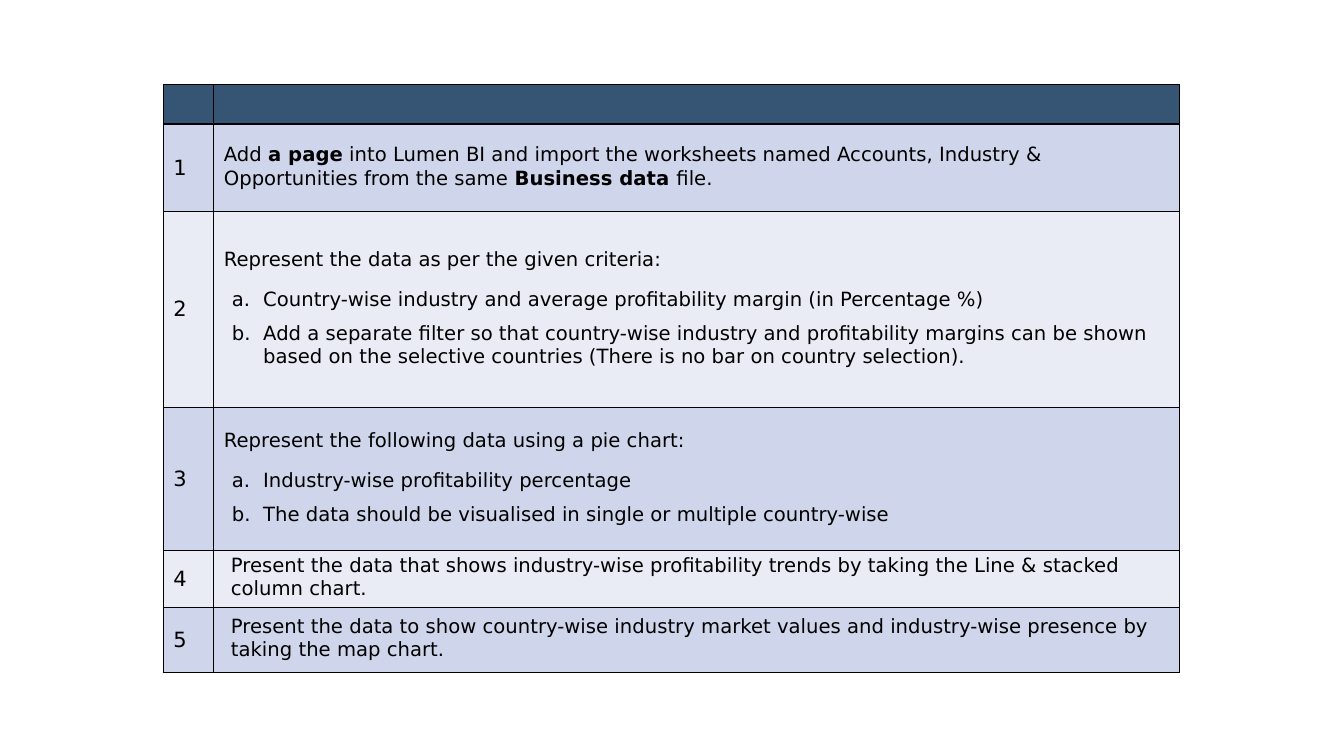
"""Build a slide with a numbered table of dashboard tasks."""
from lxml import etree
from pptx import Presentation
from pptx import util as u
from pptx.dml.color import RGBColor
from pptx.enum import text
from pptx.oxml import ns

FONT = "DejaVu Sans"
INK, HEADER, BANDS = "000000", "365474", ("CFD5EA", "E9EBF5")
LEFT, TOP = 1.62, 0.84
COLUMNS = (0.5, 9.58)
ROWS = (0.39, 0.87, 1.94, 1.42, 0.57, 0.64)

# Each task lists (style, wording); ** encloses bold words.
TASKS = [
    [("lead", "Add **a page** into Lumen BI and import the worksheets named Accounts, "
              "Industry & Opportunities from the same **Business data **file.")],
    [("lead", "Represent the data as per the given criteria:"),
     ("item", "Country-wise industry and average profitability margin (in Percentage %)"),
     ("item", "Add a separate filter so that country-wise industry and profitability margins "
              "can be shown based on the selective countries "
              "(There is no bar on country selection).")],
    [("lead", "Represent the following data using a pie chart:"),
     ("item", "Industry-wise profitability percentage"),
     ("item", "The data should be visualised in single or multiple country-wise")],
    [("plain", "Present the data that shows industry-wise profitability trends by taking "
               "the Line & stacked column chart.")],
    [("plain", "Present the data to show country-wise industry market values and "
               "industry-wise presence by taking the map chart.")],
]
INDENTS = {"item": (0.39, -0.31), "plain": (0.07, 0)}


def color(code):
    return RGBColor.from_string(code)


def add_child(parent, tag, **attributes):
    return etree.SubElement(parent, ns.qn(tag), attributes)


def style_cell(cell, fill):
    properties = cell._tc.get_or_add_tcPr()
    for side in ("a:lnL", "a:lnR", "a:lnT", "a:lnB"):
        border = add_child(properties, side, w=str(u.Pt(1)))
        add_child(add_child(border, "a:solidFill"), "a:srgbClr", val=INK)
    cell.fill.solid()
    cell.fill.fore_color.rgb = color(fill)
    cell.vertical_anchor = text.MSO_ANCHOR.MIDDLE


def write(paragraph, wording, size):
    for index, words in enumerate(wording.split("**")):
        run = paragraph.add_run()
        run.text = words
        run.font.name = FONT
        run.font.size = u.Pt(size)
        run.font.bold = index % 2 == 1
        run.font.color.rgb = color(INK)


def style_paragraph(paragraph, style):
    before, after = (6, 8) if style == "lead" else (4, 4)
    paragraph.space_before, paragraph.space_after = u.Pt(before), u.Pt(after)
    if style == "lead":
        paragraph.line_spacing = 1.07
        return
    paragraph.level = 1
    properties = paragraph._p.get_or_add_pPr()
    margin, indent = INDENTS[style]
    properties.set("marL", str(u.Inches(margin)))
    properties.set("indent", str(u.Inches(indent)))
    if style == "item":
        add_child(properties, "a:buFont", typeface="+mj-lt")
        add_child(properties, "a:buAutoNum", type="alphaLcPeriod")


def fill_task(cell, lines):
    cell.margin_top, cell.margin_bottom = 0, u.Inches(0.04)
    for index, (style, wording) in enumerate(lines):
        frame = cell.text_frame
        paragraph = frame.add_paragraph() if index else frame.paragraphs[0]
        style_paragraph(paragraph, style)
        write(paragraph, wording, 14)


def main():
    deck = Presentation()
    deck.slide_width, deck.slide_height = u.Inches(13.33), u.Inches(7.5)
    slide = deck.slides.add_slide(deck.slide_layouts[6])
    table = slide.shapes.add_table(
        len(ROWS), len(COLUMNS), u.Inches(LEFT), u.Inches(TOP),
        u.Inches(sum(COLUMNS)), u.Inches(sum(ROWS))).table
    for column, width in zip(table.columns, COLUMNS):
        column.width = u.Inches(width)
    for index, (row, height) in enumerate(zip(table.rows, ROWS)):
        row.height = u.Inches(height)
        for cell in row.cells:
            style_cell(cell, BANDS[(index - 1) % 2] if index else HEADER)
    for cell in table.rows[0].cells:
        cell.margin_top = cell.margin_bottom = 0
    for number, lines in enumerate(TASKS, 1):
        write(table.cell(number, 0).text_frame.paragraphs[0], str(number), 15)
        fill_task(table.cell(number, 1), lines)
    deck.save("out.pptx")


if __name__ == "__main__":
    main()
